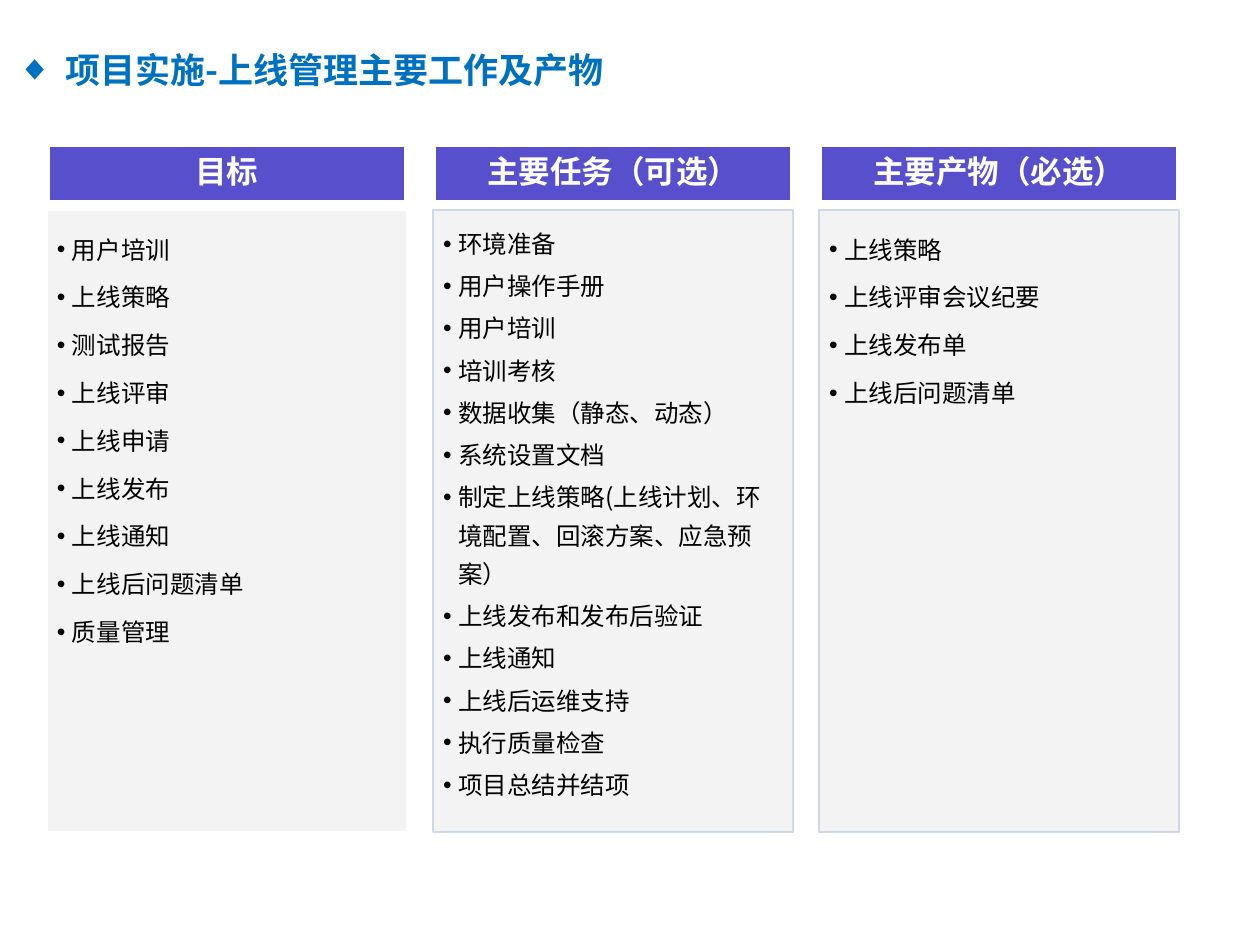
from dataclasses import dataclass

from pptx import Presentation
from pptx.dml.color import RGBColor
from pptx.enum.shapes import MSO_SHAPE
from pptx.enum.text import MSO_ANCHOR as Anchor, MSO_AUTO_SIZE as AutoSize, PP_ALIGN as Align
from pptx.oxml.ns import qn
from pptx.oxml.xmlchemy import OxmlElement
from pptx.util import Emu, Pt

PX = 914400 / 126
COLORS = {
    "title": "0070C0",
    "header": "584FCD",
    "panel": "F2F2F2",
    "edge": "CFD8E7",
    "white": "FFFFFF",
    "text": "000000",
}
CJK = "Noto Sans CJK SC"
LATIN = "Arial"
PANEL_ALPHA = 89
LEFT, STEP, WIDTH = 47, 386, 360
HEADER_TOP, HEADER_HEIGHT = 144, 59
PANEL_TOP, PANEL_HEIGHT = 210, 622


@dataclass(frozen=True)
class Column:
    heading: str
    items: tuple[str, ...]
    placeholder: int
    line_pitch: float
    edge: str


COLUMNS = (
    Column("目标", (
        "用户培训", "上线策略", "测试报告", "上线评审", "上线申请",
        "上线发布", "上线通知", "上线后问题清单", "质量管理",
    ), 2, 25.2, "white"),
    Column("主要任务（可选）", (
        "环境准备", "用户操作手册", "用户培训", "培训考核",
        "数据收集（静态、动态）", "系统设置文档",
        "制定上线策略(上线计划、环境配置、回滚方案、应急预案）",
        "上线发布和发布后验证", "上线通知", "上线后运维支持",
        "执行质量检查", "项目总结并结项",
    ), 3, 22, "edge"),
    Column("主要产物（必选）", (
        "上线策略", "上线评审会议纪要", "上线发布单", "上线后问题清单",
    ), 4, 25.2, "edge"),
)


def px(length: int) -> Emu:
    return Emu(round(length * PX))


def rgb(name: str) -> RGBColor:
    return RGBColor.from_string(COLORS[name])


def place(shape, left: int, top: int, width: int, height: int) -> None:
    shape.left, shape.top = px(left), px(top)
    shape.width, shape.height = px(width), px(height)


def paint(shape, fill: str, edge: str, weight: float) -> None:
    shape.fill.solid()
    shape.fill.fore_color.rgb = rgb(fill)
    shape.line.color.rgb = rgb(edge)
    shape.line.width = Pt(weight)


def set_frame(frame, anchor: Anchor, insets: tuple[int, int, int, int]) -> None:
    """Insets run left, top, right, bottom."""
    frame.word_wrap = True
    frame.auto_size = AutoSize.NONE
    frame.vertical_anchor = anchor
    (frame.margin_left, frame.margin_top,
     frame.margin_right, frame.margin_bottom) = map(px, insets)


def add_run(paragraph, text: str, size: int, color: str, latin: str, bold: bool) -> None:
    run = paragraph.add_run()
    run.text = text
    font = run.font
    font.size, font.bold = Pt(size), bold
    font.color.rgb = rgb(color)
    font.name = latin
    east_asian = OxmlElement("a:ea")
    east_asian.set("typeface", CJK)
    run._r.get_or_add_rPr().find(qn("a:latin")).addnext(east_asian)


def set_bullet(paragraph, char: str, indent: int) -> None:
    properties = paragraph._p.get_or_add_pPr()
    properties.set("marL", str(px(indent)))
    properties.set("indent", str(-px(indent)))
    for tag, key, value in (("a:buFont", "typeface", LATIN), ("a:buChar", "char", char)):
        bullet = OxmlElement(tag)
        bullet.set(key, value)
        properties.append(bullet)


def fill_title(title) -> None:
    place(title, 4, 42, 861, 55)
    set_frame(title.text_frame, Anchor.MIDDLE, (13, 6, 13, 6))
    paragraph = title.text_frame.paragraphs[0]
    paragraph.alignment = Align.LEFT
    set_bullet(paragraph, "◆", 48)
    add_run(paragraph, "项目实施-上线管理主要工作及产物", 20, "title", CJK, True)


def add_header(slide, heading: str, left: int) -> None:
    header = slide.shapes.add_shape(
        MSO_SHAPE.RECTANGLE, px(left), px(HEADER_TOP), px(WIDTH), px(HEADER_HEIGHT))
    header.shadow.inherit = False
    paint(header, "header", "white", 3)
    set_frame(header.text_frame, Anchor.MIDDLE, (18, 10, 18, 10))
    paragraph = header.text_frame.paragraphs[0]
    paragraph.alignment = Align.CENTER
    paragraph.line_spacing = 0.9
    paragraph.space_after = Pt(6.3)
    add_run(paragraph, heading, 18, "white", LATIN, True)


def fill_panel(panel, column: Column, left: int) -> None:
    place(panel, left, PANEL_TOP, WIDTH, PANEL_HEIGHT)
    paint(panel, "panel", column.edge, 0.75)
    alpha = OxmlElement("a:alpha")
    alpha.set("val", str(PANEL_ALPHA * 1000))
    panel._element.spPr.find(qn("a:solidFill"))[0].append(alpha)
    frame = panel.text_frame
    set_frame(frame, Anchor.TOP, (10, 10, 14, 15))
    for index, item in enumerate(column.items):
        paragraph = frame.add_paragraph() if index else frame.paragraphs[0]
        paragraph.level = 1
        paragraph.alignment = Align.LEFT
        paragraph.line_spacing = Pt(column.line_pitch)
        paragraph.space_before, paragraph.space_after = Pt(0), Pt(2.1)
        set_bullet(paragraph, "•", 15)
        add_run(paragraph, item, 14, "text", CJK, False)


def main() -> None:
    deck = Presentation()
    deck.slide_width, deck.slide_height = px(1260), px(945)
    slide = deck.slides.add_slide(deck.slide_layouts.get_by_name("Comparison"))
    fill_title(slide.shapes.title)
    for index, column in enumerate(COLUMNS):
        left = LEFT + index * STEP
        add_header(slide, column.heading, left)
        fill_panel(slide.placeholders[column.placeholder], column, left)
    unused = slide.placeholders[1]._element
    unused.getparent().remove(unused)
    deck.save("out.pptx")


if __name__ == "__main__":
    main()
